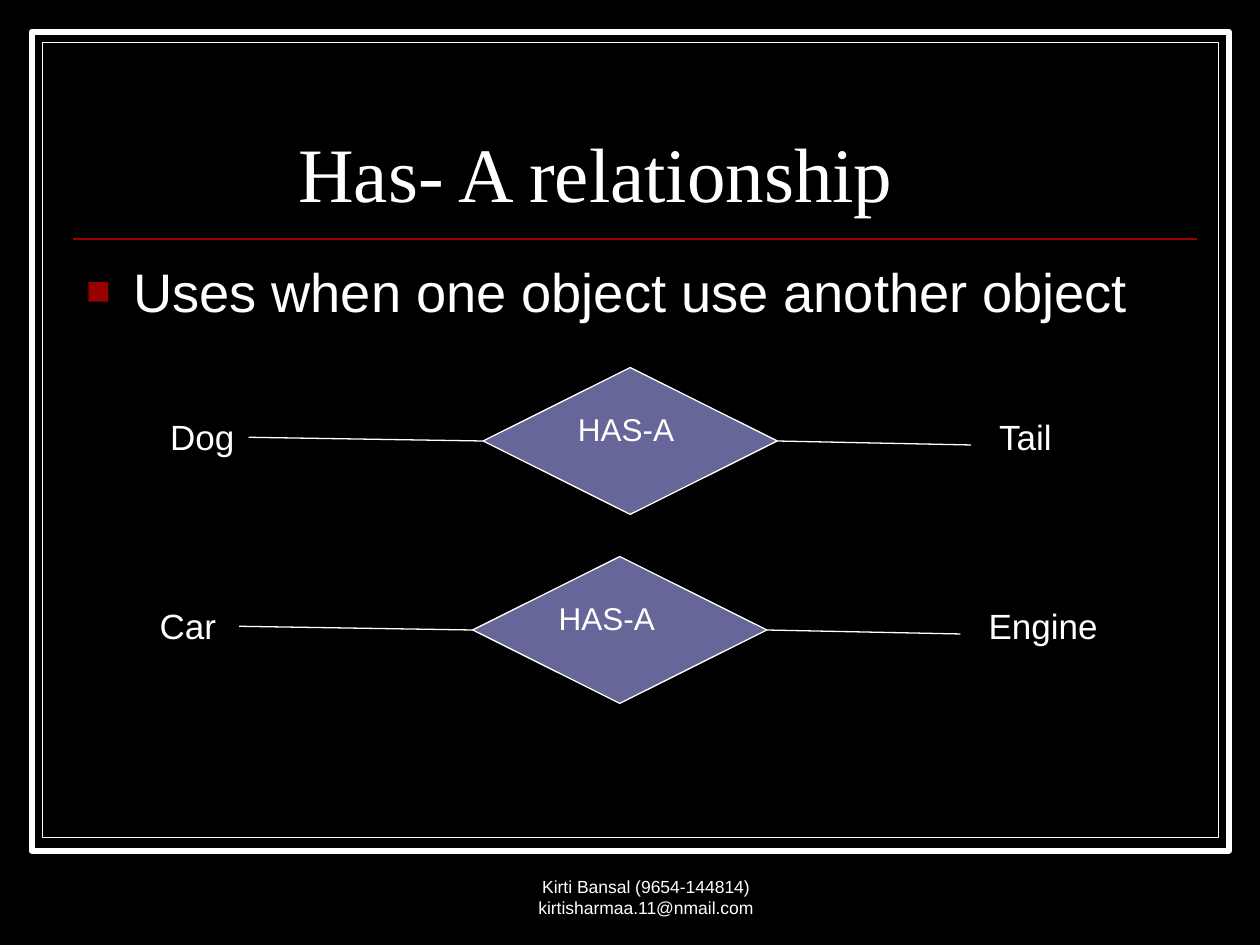
from lxml import etree
from pptx import Presentation
from pptx.dml.color import RGBColor
from pptx.enum import shapes, text
from pptx.oxml.ns import qn
from pptx.util import Cm, Pt

TITLE = "Has- A relationship"
BULLET = "Uses when one object use another object"
FOOTER = "Kirti Bansal (9654-144814) kirtisharmaa.11@nmail.com"
# owner, its label width, part, its label width, indent of the diamond's text
RELATIONS = [
    ("Dog", 1.83, "Tail", 1.57, 0.18),
    ("Car", 1.85, "Engine", 2.74, 0),
]
RELATION = "HAS-A"
# left, top, width, height, line width
FRAMES = [
    (0.64, 0.64, 24.13, 16.51, 3.5),
    (0.86, 0.86, 23.7, 16.03, 0.75),
]
WHITE, BLACK, RED, VIOLET = "FFFFFF", "000000", "990000", "666699"
ROW_STEP, ROW_SHIFT = 3.81, -0.21
LABEL_HEIGHT = 1.11
DIAMOND_WIDTH, DIAMOND_HEIGHT = 5.93, 2.96


def rgb(code):
    return RGBColor.from_string(code)


def place(shape, left, top, width, height):
    shape.left, shape.top, shape.width, shape.height = map(Cm, (left, top, width, height))


def write(shape, content, size, font="Arial", align=text.PP_ALIGN.LEFT,
          anchor=text.MSO_ANCHOR.TOP, wrap=True, fit=text.MSO_AUTO_SIZE.NONE,
          indent=0, hanging=0, spacing=None, bullet=None):
    frame = shape.text_frame
    frame.text = content
    frame.word_wrap, frame.auto_size, frame.vertical_anchor = wrap, fit, anchor
    paragraph = frame.paragraphs[0]
    paragraph.alignment, paragraph.line_spacing = align, spacing
    paragraph.space_before = Pt(0)
    properties = paragraph._p.get_or_add_pPr()
    properties.set("marL", str(Cm(indent)))
    properties.set("indent", str(-Cm(hanging)))
    if bullet:
        color = etree.SubElement(properties, qn("a:buClr"))
        etree.SubElement(color, qn("a:srgbClr"), val=RED)
        etree.SubElement(properties, qn("a:buSzPct"), val="75000")
        etree.SubElement(properties, qn("a:buFont"), typeface="Arial")
        etree.SubElement(properties, qn("a:buChar"), char=bullet)
    style = paragraph.runs[0].font
    style.name, style.size, style.color.rgb = font, Pt(size), rgb(WHITE)


def add_box(slide, kind, box, fill, line_width):
    shape = slide.shapes.add_shape(kind, *map(Cm, box))
    shape.shadow.inherit = False
    shape.fill.solid()
    shape.fill.fore_color.rgb = rgb(fill)
    shape.line.color.rgb = rgb(WHITE)
    shape.line.width = Pt(line_width)
    return shape


def add_line(slide, start, end, color=WHITE, width=0.75):
    line = slide.shapes.add_connector(shapes.MSO_CONNECTOR.STRAIGHT, *map(Cm, start + end))
    line.line.color.rgb = rgb(color)
    line.line.width = Pt(width)
    etree.SubElement(line._element.spPr, qn("a:effectLst"))
    return line


def add_label(slide, content, left, top, width):
    label = slide.shapes.add_textbox(*map(Cm, (left, top, width, LABEL_HEIGHT)))
    write(label, content, 20, wrap=False, fit=text.MSO_AUTO_SIZE.SHAPE_TO_FIT_TEXT)
    return label


def add_relation(slide, row, owner, owner_width, part, part_width, indent):
    shift, drop = row * ROW_SHIFT, row * ROW_STEP
    label_top = 8.26 + drop
    left, top = 9.74 + shift, 7.41 + drop
    right, middle = left + DIAMOND_WIDTH, top + DIAMOND_HEIGHT / 2

    owner_label = add_label(slide, owner, 3.18 + shift, label_top, owner_width)
    add_label(slide, part, 19.89 + shift, label_top, part_width)
    diamond = add_box(slide, shapes.MSO_SHAPE.FLOWCHART_DECISION,
                      (left, top, DIAMOND_WIDTH, DIAMOND_HEIGHT), VIOLET, 0.75)
    write(diamond, RELATION, 18, indent=indent)

    owner_line = add_line(slide, (5 + shift, label_top + LABEL_HEIGHT / 2), (left, middle))
    owner_line.begin_connect(owner_label, 3)
    owner_line.end_connect(diamond, 1)
    part_line = add_line(slide, (right, middle), (right + 3.9, middle + 0.08))
    part_line.begin_connect(diamond, 3)


def main():
    deck = Presentation()
    deck.slide_width, deck.slide_height = Cm(25.4), Cm(19.05)
    slide = deck.slides.add_slide(deck.slide_layouts[1])
    slide.background.fill.solid()
    slide.background.fill.fore_color.rgb = rgb(BLACK)

    for *box, line_width in FRAMES:
        add_box(slide, shapes.MSO_SHAPE.RECTANGLE, box, BLACK, line_width)
    add_line(slide, (1.48, 4.82), (24.13, 4.82), RED, 1)

    title, body = slide.placeholders
    for placeholder in (title, body):  # bring in front of the frames
        placeholder.element.getparent().append(placeholder.element)
    place(title, 1.48, 1.32, 22.65, 3.18)
    write(title, TITLE, 44, font="Times New Roman", anchor=text.MSO_ANCHOR.BOTTOM,
          indent=4.28, spacing=0.8)
    place(body, 1.48, 5.08, 22.23, 1.69)
    write(body, BULLET, 31, indent=0.95, hanging=0.95, bullet="■")

    footer = slide.shapes.add_textbox(Cm(9), Cm(17.36), Cm(8.04), Cm(1.27))
    write(footer, FOOTER, 10, align=text.PP_ALIGN.CENTER, anchor=text.MSO_ANCHOR.BOTTOM)

    for row, relation in enumerate(RELATIONS):
        add_relation(slide, row, *relation)
    deck.save("out.pptx")


if __name__ == "__main__":
    main()
